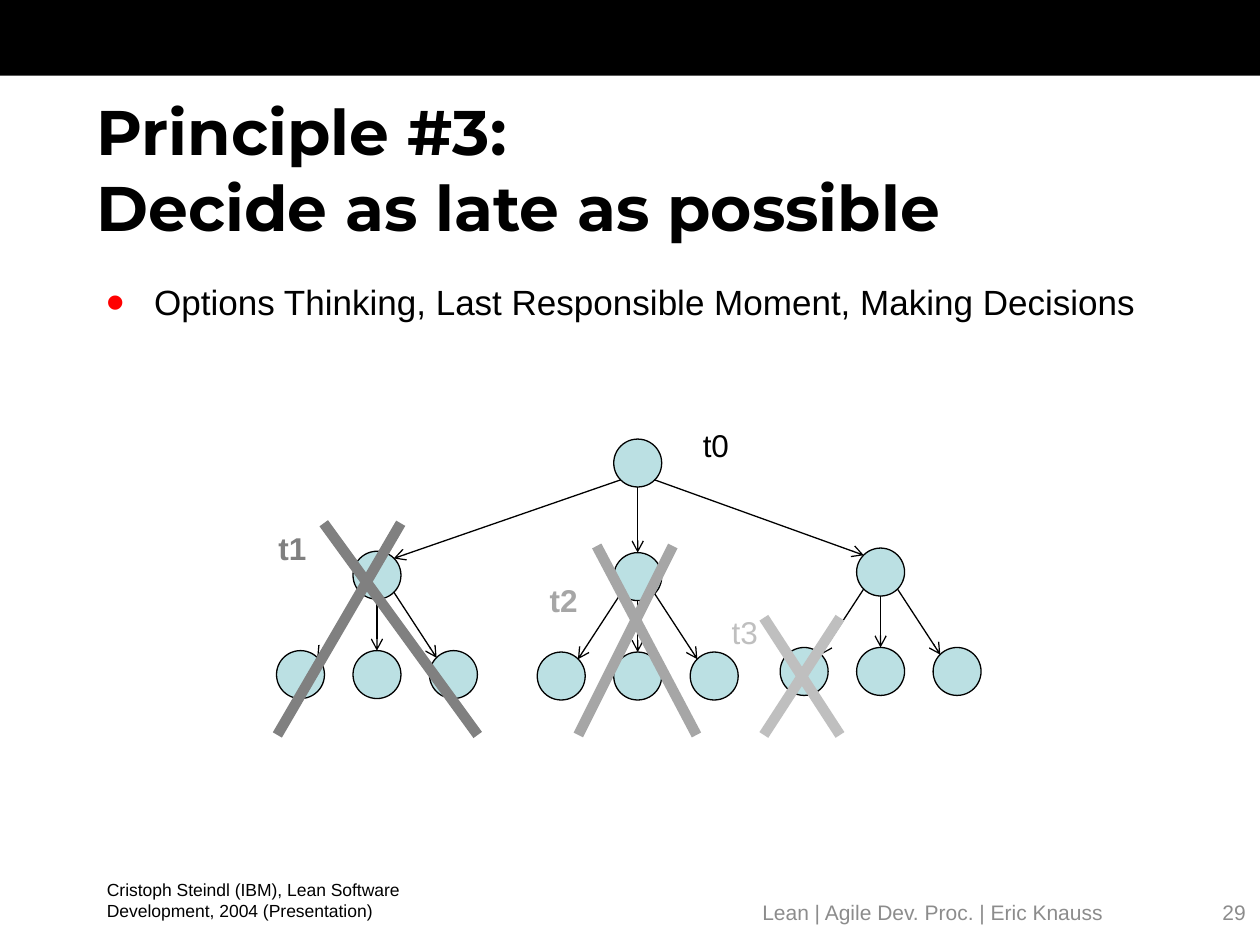
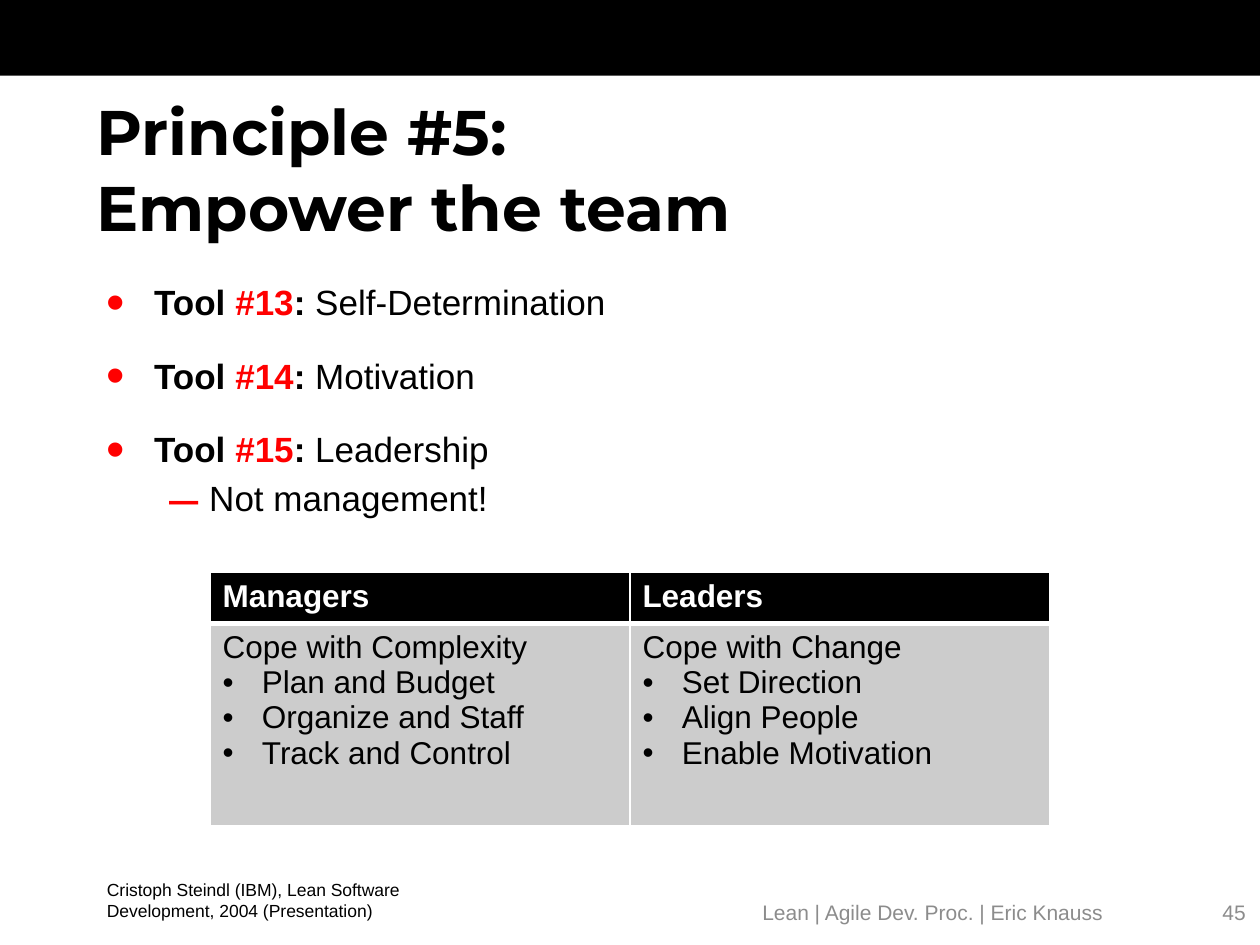
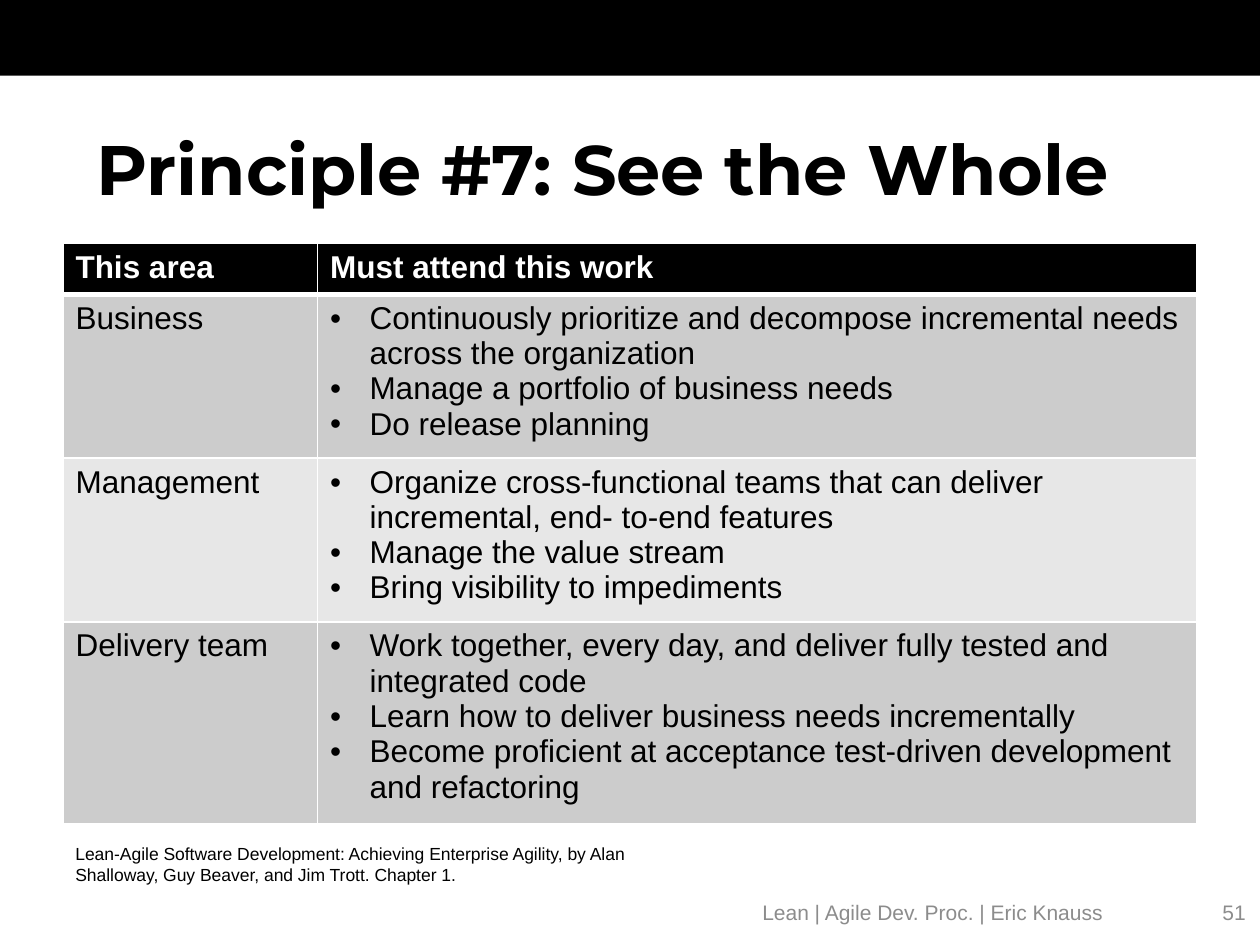
from dataclasses import dataclass

from lxml import etree
from pptx import Presentation
from pptx.dml.color import RGBColor
from pptx.enum import shapes, text
from pptx.oxml import ns
from pptx.util import Pt


@dataclass(frozen=True)
class Theme:
    black: str = "000000"
    white: str = "FFFFFF"
    accent: str = "FF0000"
    node: str = "BBE0E3"
    footer: str = "8C8C8C"
    row_bands: tuple = ("CCCCCC", "E7E7E7")
    faded: tuple = ("808080", "A6A6A6", "BFBFBF")
    title_font: str = "Montserrat"
    text_font: str = "Arial"
    title_size: int = 36
    wide_title_size: int = 40
    body_size: int = 20
    label_size: int = 18
    footer_size: int = 12
    source_size: int = 10


THEME = Theme()


@dataclass(frozen=True)
class Bullet:
    char: str
    indent: float
    hang: float
    color: str = ""
    percent: int = 100


DOT = Bullet("•", 27, 27, THEME.accent, 150)
DASH = Bullet("–", 58.5, 22.5, THEME.accent, 150)
CELL_DOT = Bullet("•", 22.5, 22.5)

STEINDL = "Cristoph Steindl (IBM), Lean Software Development, 2004 (Presentation)"
SHALLOWAY = ("Lean-Agile Software Development: Achieving Enterprise Agility, by Alan "
             "Shalloway, Guy Beaver, and Jim Trott. Chapter 1.")
RADIUS = 13.7
ROW_HEIGHT = 29.2


def rgb(color):
    return RGBColor.from_string(color)


def add_element(parent, tag, **attributes):
    values = {key: str(value) for key, value in attributes.items()}
    return etree.SubElement(parent, ns.qn(tag), values)


def add_bullet(paragraph, bullet):
    props = paragraph._p.get_or_add_pPr()
    props.set("marL", str(Pt(bullet.indent)))
    props.set("indent", str(-Pt(bullet.hang)))
    if bullet.color:
        add_element(add_element(props, "a:buClr"), "a:srgbClr", val=bullet.color)
    add_element(props, "a:buSzPct", val=bullet.percent * 1000)
    add_element(props, "a:buFont", typeface=THEME.text_font)
    add_element(props, "a:buChar", char=bullet.char)


def write(frame, content, size=THEME.label_size, color=THEME.black, bold=False,
          font=THEME.text_font, align=text.PP_ALIGN.LEFT, bullet=None, before=0):
    """Append a paragraph; content is a string or a list of (string, bold, color) runs."""
    paragraph = frame.add_paragraph() if frame.text else frame.paragraphs[0]
    if bullet:
        add_bullet(paragraph, bullet)
    paragraph.alignment = align
    if before:
        paragraph.space_before = Pt(before)
    runs = [(content, bold, color)] if isinstance(content, str) else content
    for words, run_bold, run_color in runs:
        for number, line in enumerate(words.split("\n")):
            if number:
                paragraph.add_line_break()
            run = paragraph.add_run()
            run.text = line
            run.font.name = font
            run.font.size = Pt(size)
            run.font.bold = run_bold
            run.font.color.rgb = rgb(run_color)


def add_frame(slide, left, top, width, height, middle=False):
    frame = slide.shapes.add_textbox(Pt(left), Pt(top), Pt(width), Pt(height)).text_frame
    frame.word_wrap = True
    frame.vertical_anchor = text.MSO_ANCHOR.MIDDLE if middle else text.MSO_ANCHOR.TOP
    return frame


def add_preset(slide, kind, left, top, width, height, fill, outline=None):
    shape = slide.shapes.add_shape(kind, Pt(left), Pt(top), Pt(width), Pt(height))
    shape.shadow.inherit = False
    shape.fill.solid()
    shape.fill.fore_color.rgb = rgb(fill)
    if outline:
        shape.line.color.rgb = rgb(outline)
        shape.line.width = Pt(0.75)
    else:
        shape.line.fill.background()


def add_line(slide, start, end, color=THEME.black, width=0.75, arrow=False):
    line = slide.shapes.add_connector(
        shapes.MSO_CONNECTOR.STRAIGHT, *(Pt(value) for value in (*start, *end)))
    line.line.color.rgb = rgb(color)
    line.line.width = Pt(width)
    if arrow:
        add_element(line.line._get_or_add_ln(), "a:tailEnd", type="arrow")
    add_element(line._element.spPr, "a:effectLst")


def add_slide(deck, title, page, title_size=THEME.title_size):
    """Add a slide with its band, title, footer and page number."""
    slide = deck.slides.add_slide(deck.slide_layouts[6])
    add_preset(slide, shapes.MSO_SHAPE.RECTANGLE, 0, 0, 720, 43.2, THEME.black)
    write(add_frame(slide, 48, 66, 672, 60, middle=True), title,
          size=title_size, font=THEME.title_font, bold=True)
    write(add_frame(slide, 419, 506.5, 228, 29, middle=True),
          "Lean | Agile Dev. Proc. | Eric Knauss", size=THEME.footer_size,
          color=THEME.footer, align=text.PP_ALIGN.CENTER)
    write(add_frame(slide, 653, 506.5, 66, 29, middle=True), page,
          size=THEME.footer_size, color=THEME.footer, align=text.PP_ALIGN.RIGHT)
    return slide


def add_source(slide, citation, left=54, top=498.75, width=243):
    write(add_frame(slide, left, top, width, 32), citation, size=THEME.source_size)


def add_body(slide):
    return add_frame(slide, 54, 157, 612, 354)


def add_node(slide, center):
    x, y = center
    add_preset(slide, shapes.MSO_SHAPE.OVAL, x - RADIUS, y - RADIUS,
               2 * RADIUS, 2 * RADIUS, THEME.node, THEME.black)


def add_branch(slide, parent, child, side):
    """Join two nodes; side is -1, 0 or 1 for a left, straight or right branch."""
    reach = RADIUS * 0.7 if side else RADIUS
    add_line(slide, (parent[0] + side * reach, parent[1] + reach),
             (child[0] - side * reach, child[1] - reach), arrow=True)


def add_option_tree(slide, root, options):
    sides = (-1, 0, 1)
    branches = [(root, option, side) for option, side in zip(options, sides)]
    for x, y in options:
        branches += [((x, y), (x + side * 43.7, y + 56.8), side) for side in sides]
    add_node(slide, root)
    for _, child, _ in branches:
        add_node(slide, child)
    for parent, child, side in branches:
        add_branch(slide, parent, child, side)


def add_cross(slide, top, top_left, top_right, bottom_left, bottom_right, color):
    bottom = 420
    add_line(slide, (top_left, top), (bottom_right, bottom), color, 6)
    add_line(slide, (top_right, top), (bottom_left, bottom), color, 6)


def set_borders(cell, bottom):
    props = cell._tc.get_or_add_tcPr()
    for place, (tag, width) in enumerate(
            (("a:lnL", 1), ("a:lnR", 1), ("a:lnT", 1), ("a:lnB", bottom))):
        border = add_element(props, tag, w=Pt(width))
        add_element(add_element(border, "a:solidFill"), "a:srgbClr", val=THEME.white)
        props.insert(place, border)


def add_grid(slide, left, top, widths, heights, rows):
    """Each cell is a list of lines; those starting with a bullet sign become bullets.

    Heights are minimums: a row grows with its text.
    """
    table = slide.shapes.add_table(len(rows), len(widths), Pt(left), Pt(top),
                                   Pt(sum(widths)), Pt(sum(heights))).table
    for column, width in zip(table.columns, widths):
        column.width = Pt(width)
    for number, (row, height, lines_by_cell) in enumerate(zip(table.rows, heights, rows)):
        row.height = Pt(height)
        header = number == 0
        for cell, lines in zip(row.cells, lines_by_cell):
            cell.fill.solid()
            cell.fill.fore_color.rgb = rgb(
                THEME.black if header else THEME.row_bands[(number - 1) % 2])
            set_borders(cell, bottom=3 if header else 1)
            for line in lines:
                write(cell.text_frame, line.removeprefix("• "), bold=header,
                      color=THEME.white if header else THEME.black,
                      bullet=CELL_DOT if line.startswith("• ") else None)


def build_decide_late(deck):
    slide = add_slide(deck, "Principle #3:\nDecide as late as possible", "29")
    write(add_body(slide), "Options Thinking, Last Responsible Moment, Making Decisions",
          size=THEME.body_size, bullet=DOT)
    add_source(slide, STEINDL)
    add_option_tree(slide, (364.4, 264.6), [(215.4, 328.7), (364.4, 329.5), (503.2, 326.9)])
    dark, medium, light = THEME.faded
    for moment, left, top, color, bold in (
            ("t0", 394.5, 240, THEME.black, False), ("t1", 152, 299, dark, True),
            ("t2", 307, 328.5, medium, True), ("t3", 411, 347, light, False)):
        write(add_frame(slide, left, top, 40, 29), moment, color=color, bold=bold)
    add_cross(slide, 299, 185, 229, 158.5, 273, dark)
    add_cross(slide, 312, 341, 384.5, 330.5, 398, medium)
    add_cross(slide, 353, 436.5, 480, 436.5, 480, light)


def build_empower_team(deck):
    slide = add_slide(deck, "Principle #5:\nEmpower the team", "45")
    body = add_body(slide)
    tools = ("Self-Determination", "Motivation", "Leadership")
    for number, tool in enumerate(tools, start=13):
        write(body, [("Tool ", True, THEME.black), (f"#{number}", True, THEME.accent),
                     (": ", True, THEME.black), (tool, False, THEME.black)],
              size=THEME.body_size, bullet=DOT, before=18 if number > 13 else 0)
    write(body, "Not management!", size=THEME.body_size, bullet=DASH, before=4)
    add_source(slide, STEINDL)
    add_grid(slide, 120, 327, (240, 240), (ROW_HEIGHT, 115.5), [
        (["Managers"], ["Leaders"]),
        (["Cope with Complexity", "• Plan and Budget", "• Organize and Staff",
          "• Track and Control"],
         ["Cope with Change", "• Set Direction", "• Align People",
          "• Enable Motivation"]),
    ])


def build_see_whole(deck):
    slide = add_slide(deck, "Principle #7: See the Whole", "51", THEME.wide_title_size)
    add_grid(slide, 36, 139, (145.5, 502.5), [ROW_HEIGHT] * 4, [
        (["This area"], ["Must attend this work"]),
        (["Business"],
         ["• Continuously prioritize and decompose incremental needs across the "
          "organization",
          "• Manage a portfolio of business needs", "• Do release planning"]),
        (["Management"],
         ["• Organize cross-functional teams that can deliver incremental, "
          "end- to-end features",
          "• Manage the value stream", "• Bring visibility to impediments"]),
        (["Delivery team"],
         ["• Work together, every day, and deliver fully tested and integrated code",
          "• Learn how to deliver business needs incrementally",
          "• Become proficient at acceptance test-driven development and refactoring"]),
    ])
    add_source(slide, SHALLOWAY, left=36, top=478, width=360)


def main():
    deck = Presentation()
    deck.slide_width, deck.slide_height = Pt(720), Pt(540)
    build_decide_late(deck)
    build_empower_team(deck)
    build_see_whole(deck)
    deck.save("out.pptx")


if __name__ == "__main__":
    main()
